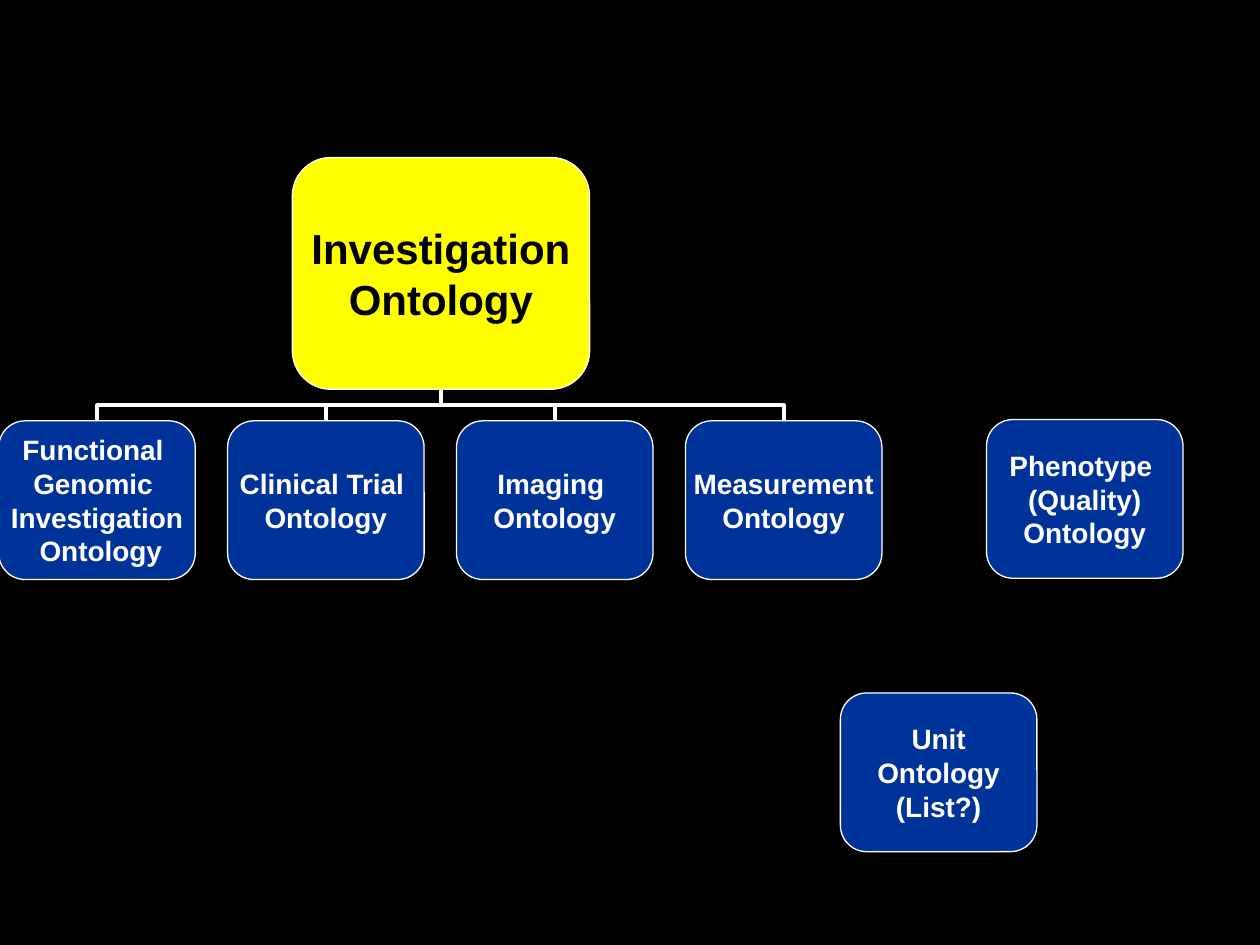
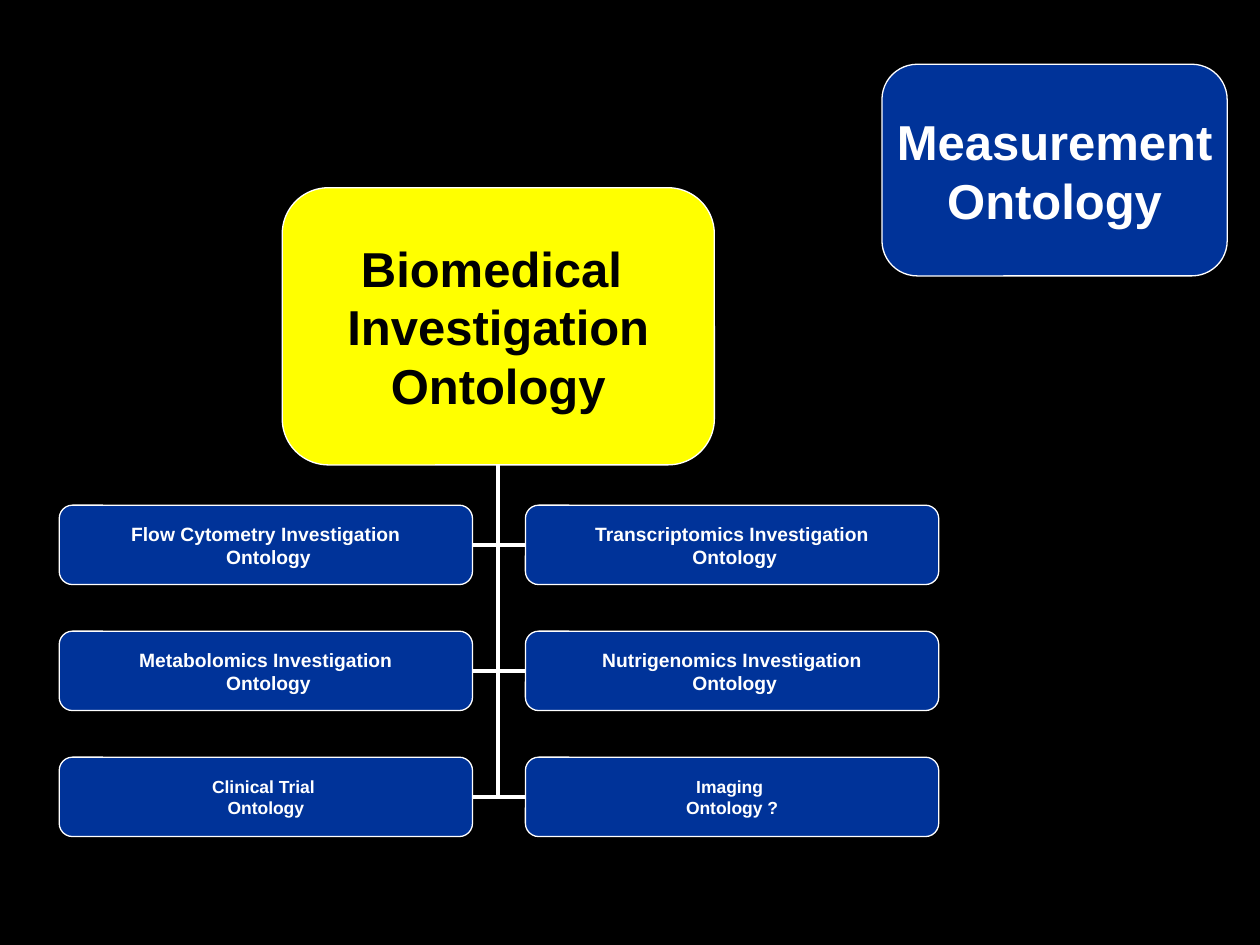
from pptx import Presentation
from pptx import util as u
from pptx.dml import color
from pptx.enum import shapes, text
from pptx.oxml import ns, xmlchemy

INVESTIGATION = {"lines": ["Investigation", "Ontology"], "box": (2.32, 1.25, 2.36, 1.84)}
BRANCHES = [
    ["Functional ", "Genomic ", "Investigation", " Ontology"],
    ["Clinical Trial ", "Ontology"],
    ["Imaging ", "Ontology"],
    ["Measurement", "Ontology"],
]
RELATED = [
    {"lines": ["Phenotype ", "(Quality)", "Ontology"], "at": (7.83, 3.33)},
    {"lines": ["Unit", "Ontology", "(List?)"], "at": (6.67, 5.5)},
]
BRANCH_SIZE = (1.56, 1.26)
BRANCH_TOP, FIRST_LEFT, LAST_LEFT = 3.34, -0.01, 5.44

BIOMEDICAL = {"lines": ["Biomedical ", "Investigation", "Ontology"], "box": (2.24, 1.49, 3.43, 2.2)}
MEASUREMENT = {"lines": ["Measurement", "Ontology"], "box": (7, 0.51, 2.74, 1.68)}
DOMAIN_ROWS = [
    ("domain", ["Flow Cytometry Investigation", " Ontology"],
     ["Transcriptomics Investigation", " Ontology"]),
    ("domain", ["Metabolomics Investigation", " Ontology"],
     ["Nutrigenomics Investigation", " Ontology"]),
    ("small", ["Clinical Trial ", "Ontology"], ["Imaging ", "Ontology ?"]),
]
DOMAIN_SIZE = (3.28, 0.63)
DOMAIN_LEFTS = (0.47, 4.17)
DOMAIN_TOP, DOMAIN_PITCH = 4.01, 1

THEME = {
    "background": color.RGBColor.from_string("000000"),
    "line": color.RGBColor.from_string("FFFFFF"),
    "root": {"fill": color.RGBColor.from_string("FFFF00"), "ink": color.RGBColor.from_string("000000")},
    "child": {"fill": color.RGBColor.from_string("003399"), "ink": color.RGBColor.from_string("FFFFFF")},
    "sizes": {"root": 24, "branch": 16, "large": 28, "domain": 11, "small": 10},
    "outline": 0.75,
    "link": 2.25,
    "font": {"name": "Arial", "bold": True},
    "frame": {
        "word_wrap": False,
        "vertical_anchor": text.MSO_ANCHOR.MIDDLE,
        "margin_left": u.Inches(0.04), "margin_right": u.Inches(0.04),
        "margin_top": u.Inches(0.02), "margin_bottom": u.Inches(0.02),
    },
}


def apply(target, values):
    for key, value in values.items():
        setattr(target, key, value)


def add_ontology(slide, lines, box, role, size):
    ontology = slide.shapes.add_shape(
        shapes.MSO_SHAPE.ROUNDED_RECTANGLE, *(u.Inches(length) for length in box))
    ontology.shadow.inherit = False
    ontology.fill.solid()
    ontology.fill.fore_color.rgb = THEME[role]["fill"]
    ontology.line.color.rgb = THEME["line"]
    ontology.line.width = u.Pt(THEME["outline"])
    frame = ontology.text_frame
    apply(frame, THEME["frame"])
    for index, line in enumerate(lines):
        paragraph = frame.add_paragraph() if index else frame.paragraphs[0]
        paragraph.alignment = text.PP_ALIGN.CENTER
        run = paragraph.add_run()
        run.text = line
        apply(run.font, {**THEME["font"], "size": u.Pt(THEME["sizes"][size])})
        run.font.color.rgb = THEME[role]["ink"]


def add_elbow(slide, begin, end, turn, preset="bentConnector3"):
    link = slide.shapes.add_connector(
        shapes.MSO_CONNECTOR.ELBOW, *(u.Inches(length) for length in begin + end))
    link.line.color.rgb = THEME["line"]
    link.line.width = u.Pt(THEME["link"])
    properties = link._element.spPr
    properties.append(xmlchemy.OxmlElement("a:effectLst"))
    properties.find(ns.qn("a:prstGeom")).set("prst", preset)
    if turn:
        properties.find(ns.qn("a:xfrm")).set("rot", str(turn * 60000))


def bottom_middle(box):
    left, top, width, height = box
    return left + width / 2, top + height


def link_below(slide, parent, child):
    parent_x, parent_y = bottom_middle(parent)
    child_x, child_y = child[0] + child[2] / 2, child[1]
    middle_x, middle_y = (parent_x + child_x) / 2, (parent_y + child_y) / 2
    half_spread = abs(child_x - parent_x) / 2
    side = 1 if child_x > parent_x else -1
    half_gap = side * (child_y - parent_y) / 2
    add_elbow(slide, (middle_x - half_gap, middle_y + half_spread),
              (middle_x + half_gap, middle_y - half_spread), 270 if side > 0 else 90)


def link_beside(slide, parent, child):
    trunk = bottom_middle(parent)
    left, top, width, height = child
    middle_y = top + height / 2
    if left > trunk[0]:
        add_elbow(slide, trunk, (left, middle_y), 180, "bentConnector2")
    else:
        add_elbow(slide, (left + width, middle_y), trunk, 0, "bentConnector2")


def add_tree(slide, root, root_size, children, link):
    for _, box, _ in children:
        link(slide, root["box"], box)
    add_ontology(slide, root["lines"], root["box"], "root", root_size)
    for lines, box, size in children:
        add_ontology(slide, lines, box, "child", size)


def build_investigation(slide):
    pitch = (LAST_LEFT - FIRST_LEFT) / (len(BRANCHES) - 1)
    branches = [(lines, (FIRST_LEFT + column * pitch, BRANCH_TOP) + BRANCH_SIZE, "branch")
                for column, lines in enumerate(BRANCHES)]
    add_tree(slide, INVESTIGATION, "root", branches, link_below)
    for related in RELATED:
        add_ontology(slide, related["lines"], related["at"] + BRANCH_SIZE, "child", "branch")


def build_biomedical(slide):
    domains = [(lines, (left, DOMAIN_TOP + row * DOMAIN_PITCH) + DOMAIN_SIZE, size)
               for row, (size, *pair) in enumerate(DOMAIN_ROWS)
               for left, lines in zip(DOMAIN_LEFTS, pair)]
    add_tree(slide, BIOMEDICAL, "large", domains, link_beside)
    add_ontology(slide, MEASUREMENT["lines"], MEASUREMENT["box"], "child", "large")


def main():
    deck = Presentation()
    apply(deck, {"slide_width": u.Inches(10), "slide_height": u.Inches(7.5)})
    backdrop = deck.slide_master.background.fill
    backdrop.solid()
    backdrop.fore_color.rgb = THEME["background"]
    for build in (build_investigation, build_biomedical):
        build(deck.slides.add_slide(deck.slide_layouts[6]))
    deck.save("out.pptx")


if __name__ == "__main__":
    main()
